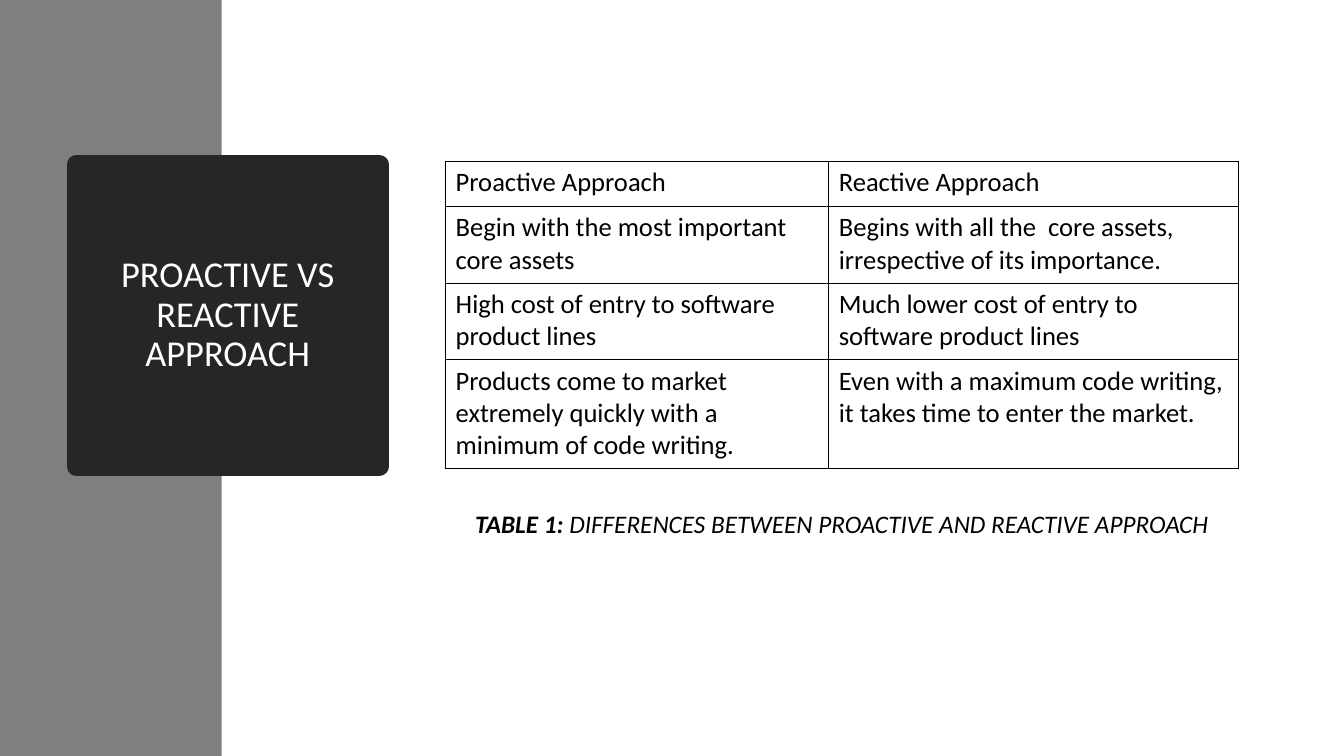
import pptx
import pptx.util
import pptx.dml.color
import pptx.enum.shapes
import pptx.enum.text
import lxml.etree
import pptx.oxml.ns

Inches, Pt = pptx.util.Inches, pptx.util.Pt
CENTER = pptx.enum.text.PP_ALIGN.CENTER
RECT = pptx.enum.shapes.MSO_SHAPE.RECTANGLE

# Content
TITLE = "PROACTIVE VS REACTIVE APPROACH"
CAPTION = [("TABLE 1:", True),
           (" DIFFERENCES BETWEEN PROACTIVE AND REACTIVE APPROACH", False)]
ROWS = [
    ("Proactive Approach", "Reactive Approach"),
    ("Begin with the most important core assets",
     "Begins with all the  core assets, irrespective of its importance."),
    ("High cost of entry to software product lines",
     "Much lower cost of entry to software product lines"),
    ("Products come to market extremely quickly with a minimum of code writing.",
     "Even with a maximum code writing, it takes time to enter the market."),
]
COLORS = {"band": "7F7F7F", "title": "262626", "light": "FFFFFF", "ink": "000000"}
FONT = "Calibri"

# Layout in inches
WIDTH, HEIGHT = 13.33, 7.5
BAND_W = 2.2
TITLE_X, TITLE_Y, TITLE_SIDE = 0.76, 1.63, 3
TABLE_X, TABLE_Y = 4.42, 1.6
COL_WIDTHS = (3.8, 4.06)
ROW_HEIGHTS = (0.45, 0.76, 0.76, 1.08)
CAPTION_Y, CAPTION_W, CAPTION_H = 4.99, 7.54, 0.4


def rgb(name):
    return pptx.dml.color.RGBColor.from_string(COLORS[name])


def style(font, size, color):
    font.name, font.size = FONT, Pt(size)
    font.color.rgb = rgb(color)


def add_block(x, y, w, h, color):
    sp = slide.shapes.add_shape(RECT, Inches(x), Inches(y), Inches(w), Inches(h))
    sp.shadow.inherit = False
    sp.fill.solid()
    sp.fill.fore_color.rgb = rgb(color)
    sp.line.fill.background()
    return sp


def add_borders(cell):
    tcPr = cell._tc.get_or_add_tcPr()
    for i, side in enumerate(("lnL", "lnR", "lnT", "lnB")):
        ln = lxml.etree.Element(pptx.oxml.ns.qn("a:" + side), w=str(Pt(1)))
        fill = lxml.etree.SubElement(ln, pptx.oxml.ns.qn("a:solidFill"))
        lxml.etree.SubElement(fill, pptx.oxml.ns.qn("a:srgbClr"), val=COLORS["ink"])
        tcPr.insert(i, ln)


prs = pptx.Presentation()
prs.slide_width, prs.slide_height = Inches(WIDTH), Inches(HEIGHT)
slide = prs.slides.add_slide(prs.slide_layouts[6])

# Side band
add_block(0, 0, BAND_W, HEIGHT, "band")

# Title block, its corners rounded by the thick outline
sp = add_block(TITLE_X, TITLE_Y, TITLE_SIDE, TITLE_SIDE, "title")
sp.line.color.rgb = rgb("title")
sp.line.width = Pt(13.75)
lxml.etree.SubElement(sp.line._get_or_add_ln(), pptx.oxml.ns.qn("a:round"))
tf = sp.text_frame
tf.word_wrap = True
tf.vertical_anchor = pptx.enum.text.MSO_ANCHOR.MIDDLE
p = tf.paragraphs[0]
p.text, p.alignment, p.line_spacing = TITLE, CENTER, 0.9
style(p.font, 26, "light")

# Caption, centred under the table
table_w = sum(COL_WIDTHS)
tf = slide.shapes.add_textbox(
    Inches(TABLE_X + (table_w - CAPTION_W) / 2), Inches(CAPTION_Y),
    Inches(CAPTION_W), Inches(CAPTION_H)).text_frame
tf.word_wrap = False
tf.auto_size = pptx.enum.text.MSO_AUTO_SIZE.SHAPE_TO_FIT_TEXT
p = tf.paragraphs[0]
p.alignment, p.space_after = CENTER, Pt(6)
style(p.font, 18, "ink")
p.font.italic = True
for text, bold in CAPTION:
    r = p.add_run()
    r.text, r.font.bold = text, bold

# Comparison table
table = slide.shapes.add_table(
    len(ROWS), len(COL_WIDTHS), Inches(TABLE_X), Inches(TABLE_Y),
    Inches(table_w), Inches(sum(ROW_HEIGHTS))).table
table.first_row = table.horz_banding = False
for column, w in zip(table.columns, COL_WIDTHS):
    column.width = Inches(w)
for row, h, texts in zip(table.rows, ROW_HEIGHTS, ROWS):
    row.height = Inches(h)
    for cell, text in zip(row.cells, texts):
        cell.fill.background()
        add_borders(cell)
        p = cell.text_frame.paragraphs[0]
        p.text = text
        style(p.font, 19, "ink")

prs.save("out.pptx")
